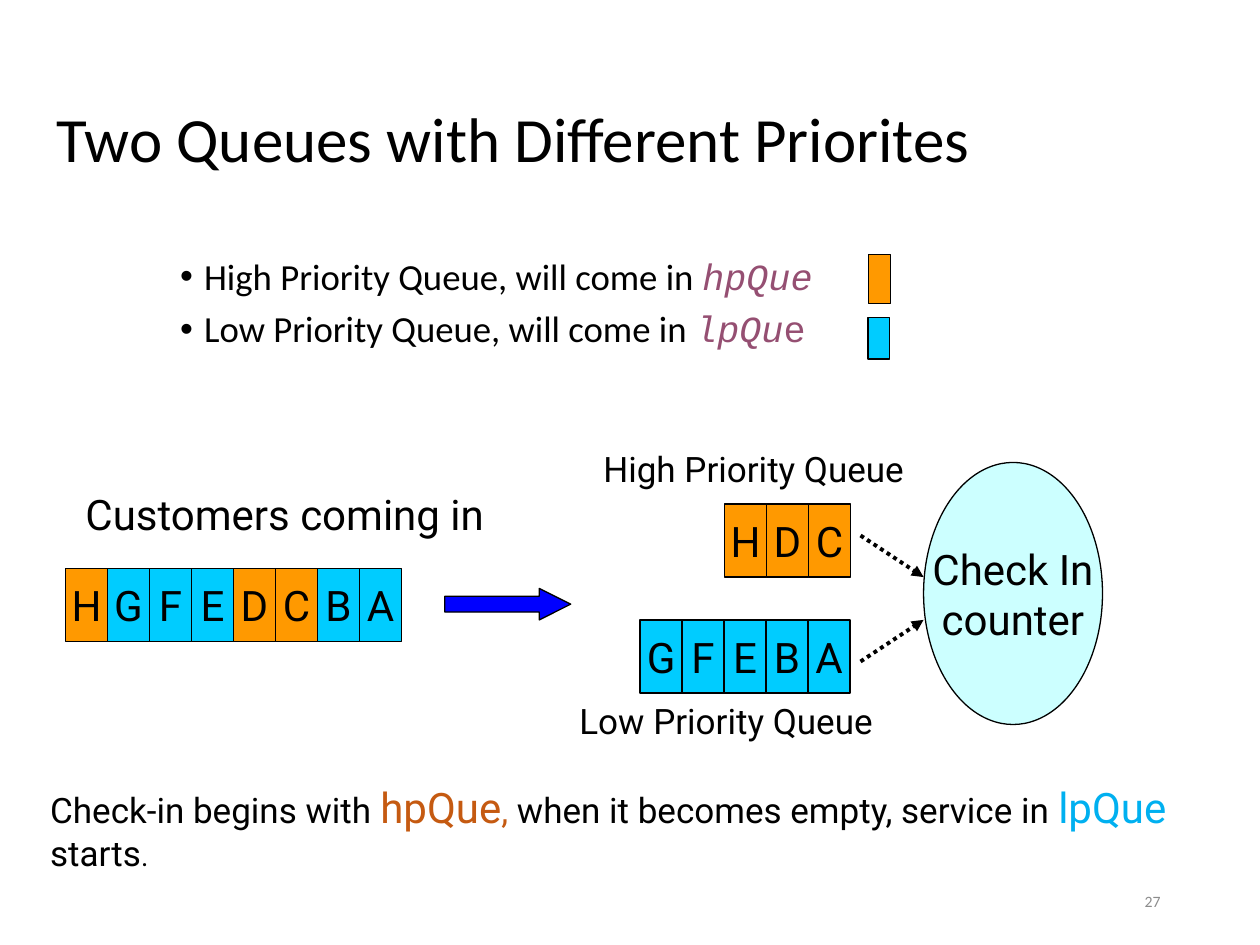
from lxml import etree
from pptx import Presentation
from pptx.dml.color import RGBColor
from pptx.enum.dml import MSO_LINE
from pptx.enum.shapes import MSO_CONNECTOR, MSO_SHAPE
from pptx.enum.text import MSO_ANCHOR, MSO_AUTO_SIZE, PP_ALIGN
from pptx.oxml.ns import qn
from pptx.util import Inches, Pt

RECTANGLE = MSO_SHAPE.RECTANGLE
OVAL = MSO_SHAPE.OVAL
RIGHT_ARROW = MSO_SHAPE.RIGHT_ARROW
STRAIGHT = MSO_CONNECTOR.STRAIGHT
DOTTED = MSO_LINE.ROUND_DOT
MIDDLE = MSO_ANCHOR.MIDDLE
TOP = MSO_ANCHOR.TOP
LEFT, CENTER, RIGHT = PP_ALIGN.LEFT, PP_ALIGN.CENTER, PP_ALIGN.RIGHT
NO_AUTOFIT = MSO_AUTO_SIZE.NONE

BLACK = RGBColor(0x00, 0x00, 0x00)
GRAY = RGBColor(0x8C, 0x8C, 0x8C)
PURPLE = RGBColor(0x95, 0x4F, 0x72)
HIGH_FILL = RGBColor(0xFF, 0x99, 0x00)
LOW_FILL = RGBColor(0x00, 0xCC, 0xFF)
COUNTER_FILL = RGBColor(0xCC, 0xFF, 0xFF)
ARROW_FILL = RGBColor(0x00, 0x00, 0xFF)
HIGH_TEXT = RGBColor(0xC5, 0x5A, 0x11)
LOW_TEXT = RGBColor(0x00, 0xB0, 0xF0)

BODY_FONT = "Calibri"
CODE_FONT = "Courier New"
DIAGRAM_FONT = "Roboto"

HIGH_PRIORITY = "HDC"
CELL_PITCH = 1 / 3
CELL_HEIGHT = 0.58


def set_font(font, name, size, color):
    font.name, font.size = name, Pt(size)
    font.color.rgb = color


def place(shape, left, top, width, height):
    shape.left, shape.top = Inches(left), Inches(top)
    shape.width, shape.height = Inches(width), Inches(height)


def fill_title(title, text):
    place(title, 0.35, 0.4, 8.96, 1.45)
    frame = title.text_frame
    frame.text = text
    frame.auto_size = NO_AUTOFIT
    frame.vertical_anchor = MIDDLE
    paragraph = frame.paragraphs[0]
    paragraph.alignment = LEFT
    paragraph.line_spacing = 0.9
    set_font(paragraph.font, BODY_FONT, 36, BLACK)


def add_bullet(paragraph, text, italic_code, upright_code=""):
    paragraph.line_spacing = 0.9
    paragraph.space_before = Pt(7.5)
    properties = paragraph._p.get_or_add_pPr()
    properties.set("marL", str(Inches(0.19)))
    properties.set("indent", str(-Inches(0.19)))
    etree.SubElement(properties, qn("a:buFont")).set("typeface", "Arial")
    etree.SubElement(properties, qn("a:buChar")).set("char", "•")
    pieces = [(text, BODY_FONT, BLACK, False),
              (italic_code, CODE_FONT, PURPLE, True),
              (upright_code, CODE_FONT, PURPLE, False)]
    for piece, name, color, italic in pieces:
        if piece:
            run = paragraph.add_run()
            run.text = piece
            set_font(run.font, name, 21, color)
            run.font.italic = italic


def fill_body(body):
    place(body, 1.33, 2, 8.67, 1.17)
    frame = body.text_frame
    frame.auto_size = NO_AUTOFIT
    frame.vertical_anchor = TOP
    add_bullet(frame.paragraphs[0], "High Priority Queue, will come in ", "hpQue")
    add_bullet(frame.add_paragraph(), "Low Priority Queue, will come in ", "lpQu", "e")


def add_outlined_shape(slide, kind, left, top, width, height, fill, text=""):
    shape = slide.shapes.add_shape(
        kind, Inches(left), Inches(top), Inches(width), Inches(height))
    shape.shadow.inherit = False
    shape.fill.solid()
    shape.fill.fore_color.rgb = fill
    shape.line.color.rgb = BLACK
    shape.line.width = Pt(0.75)
    if text:
        frame = shape.text_frame
        frame.text = text
        frame.word_wrap = False
        frame.vertical_anchor = MIDDLE
        for paragraph in frame.paragraphs:
            paragraph.alignment = CENTER
            set_font(paragraph.font, DIAGRAM_FONT, 24, BLACK)
    return shape


def add_queue(slide, left, top, customers):
    """Draw one cell per customer, coloured by the customer's priority."""
    for index, customer in enumerate(customers):
        fill = HIGH_FILL if customer in HIGH_PRIORITY else LOW_FILL
        add_outlined_shape(slide, RECTANGLE, left + index * CELL_PITCH, top,
                           CELL_PITCH, CELL_HEIGHT, fill, customer)


def add_text_box(slide, left, top, width, height):
    box = slide.shapes.add_textbox(
        Inches(left), Inches(top), Inches(width), Inches(height))
    box.text_frame.word_wrap = True
    return box.text_frame


def add_label(slide, left, top, width, height, text, size):
    paragraph = add_text_box(slide, left, top, width, height).paragraphs[0]
    paragraph.text = text
    set_font(paragraph.font, DIAGRAM_FONT, size, BLACK)


def add_dotted_arrow(slide, start_y, end_y):
    connector = slide.shapes.add_connector(
        STRAIGHT, Inches(6.83), Inches(start_y), Inches(7.33), Inches(end_y))
    connector.line.color.rgb = BLACK
    connector.line.width = Pt(2.25)
    connector.line.dash_style = DOTTED
    line = connector.line._get_or_add_ln()
    etree.SubElement(line, qn("a:tailEnd")).set("type", "triangle")
    etree.SubElement(connector._element.spPr, qn("a:effectLst"))


def add_summary(slide):
    paragraph = add_text_box(slide, 0.3, 6.15, 9.57, 0.84).paragraphs[0]
    pieces = [("Check-in begins with ", 20, BLACK),
              ("hpQue", 24, HIGH_TEXT),
              (", ", 20, HIGH_TEXT),
              ("when it becomes empty, service in ", 20, BLACK),
              ("lpQue ", 24, LOW_TEXT),
              ("starts", 20, BLACK),
              (".", 16, BLACK)]
    for text, size, color in pieces:
        run = paragraph.add_run()
        run.text = text
        set_font(run.font, DIAGRAM_FONT, size, color)


def add_slide_number(slide, number):
    frame = add_text_box(slide, 7.06, 6.95, 2.25, 0.4)
    frame.vertical_anchor = MIDDLE
    paragraph = frame.paragraphs[0]
    paragraph.text = number
    paragraph.alignment = RIGHT
    set_font(paragraph.font, BODY_FONT, 9, GRAY)


def main():
    presentation = Presentation()
    presentation.slide_width = Inches(10)
    presentation.slide_height = Inches(7.5)
    slide = presentation.slides.add_slide(presentation.slide_layouts[1])

    fill_title(slide.shapes.title, "Two Queues with Different Priorites")
    fill_body(slide.placeholders[1])
    add_outlined_shape(slide, RECTANGLE, 6.89, 2.02, 0.18, 0.39, HIGH_FILL)
    add_outlined_shape(slide, RECTANGLE, 6.89, 2.52, 0.17, 0.33, LOW_FILL)

    add_label(slide, 0.58, 3.83, 3.75, 0.5, "Customers coming in", 24)
    add_queue(slide, 0.52, 4.51, "HGFEDCBA")
    arrow = add_outlined_shape(slide, RIGHT_ARROW, 3.53, 4.67, 1, 0.25, ARROW_FILL)
    arrow.adjustments[0] = 0.5
    arrow.adjustments[1] = 1

    add_label(slide, 4.69, 3.5, 3.06, 0.44, "High Priority Queue", 20)
    add_queue(slide, 5.75, 4, HIGH_PRIORITY)
    add_queue(slide, 5.08, 4.92, "GFEBA")
    add_label(slide, 4.5, 5.5, 3.42, 0.44, "Low Priority Queue", 20)

    add_outlined_shape(slide, OVAL, 7.33, 3.67, 1.42, 2.08, COUNTER_FILL,
                       "Check In\ncounter")
    add_dotted_arrow(slide, 4.25, 4.58)
    add_dotted_arrow(slide, 5.25, 4.92)

    add_summary(slide)
    add_slide_number(slide, "27")
    presentation.save("out.pptx")


if __name__ == "__main__":
    main()
